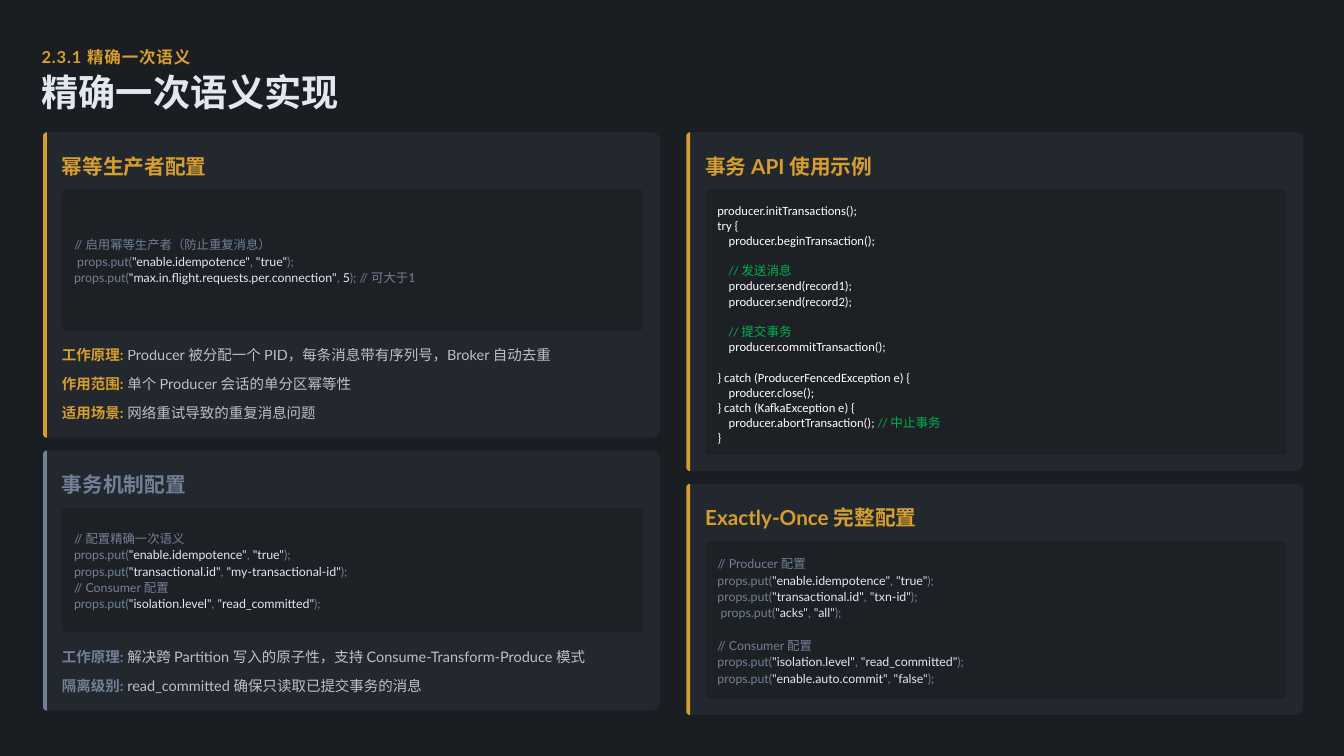
from math import cos, pi, sin

from lxml.etree import SubElement
from pptx import Presentation
from pptx.dml.color import RGBColor
from pptx.enum.text import MSO_ANCHOR as Anchor, MSO_AUTO_SIZE as AutoSize, PP_ALIGN as Align
from pptx.oxml.ns import qn
from pptx.util import Inches, Pt

COLORS = {
    "back": "1A1D21", "card": "4A5568", "gold": "D69E2E", "slate": "718096",
    "light": "E2E8F0", "white": "FFFFFF", "green": "00B050",
}
CARD_TOP, CARD_WIDTH, CARD_GAP = 1.75, 8.16, 0.17
PANEL_OFFSET, PANEL_WIDTH, PADDING = 0.76, 7.69, 0.22
NOTE_PITCH, NOTE_HEIGHT = 0.38, 0.27
CONFIG_STYLE = {"size": 11.8, "font": "Lato", "colors": ("slate", "light"),
                "spacing": 1.1, "gap": 15.6, "anchor": Anchor.MIDDLE}
API_STYLE = {"size": 12, "font": "Calibri", "colors": ("white", "green"),
             "spacing": 1.0, "gap": 14.6, "anchor": Anchor.TOP}


def setting(key, value):
    return f'props.put(|"{key}"|, |"{value}"|);'


IDEMPOTENCE = setting("enable.idempotence", "true")
ISOLATION = setting("isolation.level", "read_committed")

LEFT_CARDS = [
    {"heading": "幂等生产者配置", "accent": "gold", "panel": 1.86, "style": CONFIG_STYLE,
     "code": [["// 启用幂等生产者（防止重复消息）",
               " " + IDEMPOTENCE,
               'props.put(|"max.in.flight.requests.per.connection"|, |5|); // 可大于1']],
     "notes": [("工作原理:", " Producer 被分配一个 PID，每条消息带有序列号，Broker 自动去重"),
               ("作用范围:", " 单个 Producer 会话的单分区幂等性"),
               ("适用场景:", " 网络重试导致的重复消息问题")]},
    {"heading": "事务机制配置", "accent": "slate", "panel": 1.64, "style": CONFIG_STYLE,
     "code": [["// 配置精确一次语义",
               IDEMPOTENCE,
               setting("transactional.id", "my-transactional-id"),
               "// Consumer 配置",
               ISOLATION]],
     "notes": [("工作原理:", " 解决跨 Partition 写入的原子性，支持 Consume-Transform-Produce 模式"),
               ("隔离级别:", " read_committed 确保只读取已提交事务的消息")]},
]
RIGHT_CARDS = [
    {"heading": "事务 API 使用示例", "accent": "gold", "panel": 3.5, "style": API_STYLE,
     "code": [["producer.initTransactions();",
               "try {",
               "    producer.beginTransaction();"],
              ["|    // 发送消息",
               "    producer.send(record1);",
               "    producer.send(record2);"],
              ["|    // 提交事务",
               "    producer.commitTransaction();"],
              ["} catch (ProducerFencedException e) {",
               "    producer.close();",
               "} catch (KafkaException e) {",
               "    producer.abortTransaction(); |// 中止事务",
               "}"]],
     "notes": []},
    {"heading": "Exactly-Once 完整配置", "accent": "gold", "panel": 2.08, "style": CONFIG_STYLE,
     "code": [["// Producer 配置",
               IDEMPOTENCE,
               setting("transactional.id", "txn-id"),
               " " + setting("acks", "all")],
              ["// Consumer 配置",
               ISOLATION,
               setting("enable.auto.commit", "false")]],
     "notes": []},
]


def rgb(name):
    return RGBColor.from_string(COLORS[name])


def fade(element, percent):
    for color in element.iter(qn("a:srgbClr")):
        SubElement(color, qn("a:alpha")).set("val", str(percent * 1000))


def add_panel(page, left, top, width, height, left_radius, right_radius, color, opacity=100):
    right, bottom = left + width, top + height
    corners = [
        (left + left_radius, top + left_radius, left_radius, 180),
        (right - right_radius, top + right_radius, right_radius, 270),
        (right - right_radius, bottom - right_radius, right_radius, 0),
        (left + left_radius, bottom - left_radius, left_radius, 90),
    ]
    points = []
    for x, y, radius, start in corners:
        for step in range(7 if radius else 1):
            angle = (start + step * 15) * pi / 180
            points.append((Inches(x + radius * cos(angle)), Inches(y + radius * sin(angle))))
    builder = page.shapes.build_freeform(*points[0])
    builder.add_line_segments(points[1:], close=True)
    shape = builder.convert_to_shape()
    shape.shadow.inherit = False
    shape.line.fill.background()
    shape.fill.solid()
    shape.fill.fore_color.rgb = rgb(color)
    if opacity < 100:
        fade(shape.element, opacity)


def place(box, left, top, width, height, anchor=Anchor.MIDDLE):
    box.left, box.top, box.width, box.height = map(Inches, (left, top, width, height))
    frame = box.text_frame
    frame.word_wrap = True
    frame.auto_size = AutoSize.NONE
    frame.vertical_anchor = anchor
    frame.margin_left = frame.margin_top = frame.margin_right = frame.margin_bottom = 0
    return frame


def add_box(page, *area, anchor=Anchor.MIDDLE):
    return place(page.shapes.add_textbox(0, 0, 0, 0), *area, anchor=anchor)


def bring_forward(page, holder):
    page.shapes.element.append(holder.element)


def add_para(frame, first, spacing, before=0):
    para = frame.paragraphs[0] if first else frame.add_paragraph()
    para.alignment = Align.LEFT
    para.line_spacing = spacing
    para.space_before = Pt(before)
    return para


def add_span(para, text, size, color, font="Lato", bold=False):
    span = para.add_run()
    span.text = text
    span.font.size = Pt(size)
    span.font.name = font
    span.font.bold = bold
    span.font.color.rgb = rgb(color)
    return span


def add_code(frame, groups, style):
    for group_index, group in enumerate(groups):
        for line_index, line in enumerate(group):
            first = group_index == line_index == 0
            before = style["gap"] if group_index and line_index == 0 else 0
            para = add_para(frame, first, style["spacing"], before)
            for index, part in enumerate(line.split("|")):
                if part:
                    add_span(para, part, style["size"], style["colors"][index % 2], style["font"])


def add_notes(frame, notes, accent):
    for index, (label, text) in enumerate(notes):
        para = add_para(frame, index == 0, 1.2, 7.5 if index else 0)
        properties = para._p.get_or_add_pPr()
        properties.set("marL", "0")
        properties.set("indent", "0")
        SubElement(properties, qn("a:buNone"))
        add_span(para, label, 13.8, accent, bold=True)
        fade(add_span(para, text, 13.8, "light")._r, 80)


def add_card(page, left, top, card, holder=None):
    accent, panel, notes = card["accent"], card["panel"], card["notes"]
    notes_height = NOTE_HEIGHT + NOTE_PITCH * (len(notes) - 1) if notes else 0
    notes_space = notes_height + 0.17 if notes else 0
    height = PANEL_OFFSET + panel + notes_space + PADDING
    inner, panel_top = left + 0.25, top + PANEL_OFFSET
    add_panel(page, left, top, CARD_WIDTH, height, 0.05, 0.11, "card", 20)
    add_panel(page, left, top, 0.05, height, 0.05, 0, accent)
    heading = add_box(page, inner, top + PADDING, 7.83, 0.38)
    add_span(add_para(heading, True, 1.2), card["heading"], 19.7, accent, bold=True)
    add_panel(page, inner, panel_top, PANEL_WIDTH, panel, 0.05, 0.05, "back", 60)
    code = add_box(page, inner + 0.16, panel_top + 0.17, 7.45, panel - 0.33,
                   anchor=card["style"]["anchor"])
    add_code(code, card["code"], card["style"])
    if notes:
        frame = place(holder, inner, panel_top + panel + 0.17, 7.79, notes_height)
        add_notes(frame, notes, accent)
        bring_forward(page, holder)
    return top + height + CARD_GAP


def add_header(page):
    kicker = add_box(page, 0.55, 0.55, 16.79, 0.33)
    span = add_span(add_para(kicker, True, 1.3), "2.3.1 精确一次语义", 15.7, "gold", bold=True)
    span._r.get_or_add_rPr().set("spc", "80")
    title = place(page.shapes.title, 0.55, 0.98, 16.93, 0.55)
    add_span(add_para(title, True, 0.9), "精确一次语义实现", 35.4, "light", bold=True)
    bring_forward(page, page.shapes.title)


def main():
    deck = Presentation()
    deck.slide_width, deck.slide_height = Inches(17.78), Inches(10)
    page = deck.slides.add_slide(deck.slide_layouts[3])
    page.background.fill.solid()
    page.background.fill.fore_color.rgb = rgb("back")
    holders = [page.placeholders[1], page.placeholders[2]]
    add_header(page)
    top = CARD_TOP
    for card, holder in zip(LEFT_CARDS, holders):
        top = add_card(page, 0.57, top, card, holder)
    top = CARD_TOP
    for card in RIGHT_CARDS:
        top = add_card(page, 9.08, top, card)
    deck.save("out.pptx")


if __name__ == "__main__":
    main()
